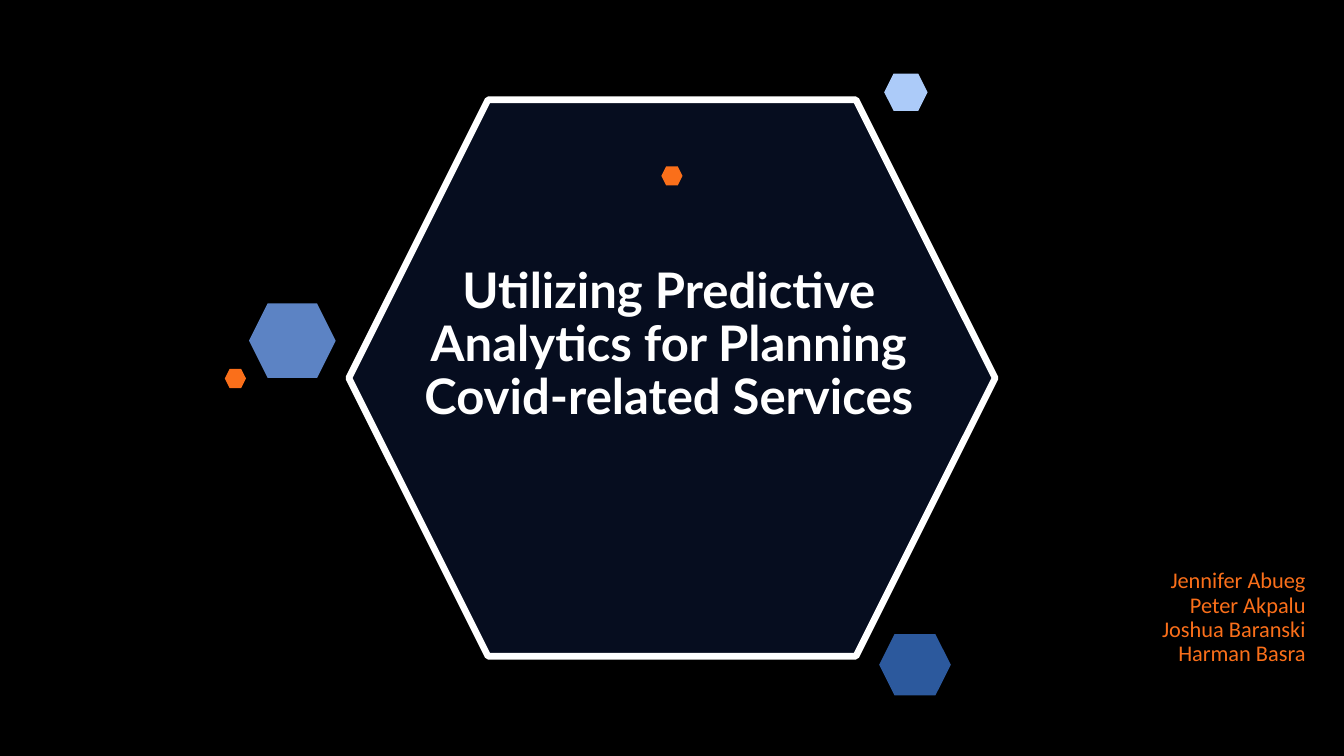
from lxml.etree import SubElement
from pptx import Presentation
from pptx.dml.color import RGBColor
from pptx.enum.shapes import MSO_SHAPE
from pptx.enum.text import MSO_ANCHOR, MSO_AUTO_SIZE, PP_ALIGN
from pptx.oxml.ns import qn
from pptx.util import Inches, Pt

ORANGE = "FA6F1A"
WHITE = "FFFFFF"


def set_color(color_format, hex_color):
    color_format.rgb = RGBColor.from_string(hex_color)


def write_text(shape, text, *, font, size, color, align, anchor, bold=False):
    frame = shape.text_frame
    frame.text = text
    frame.word_wrap = True
    frame.auto_size = MSO_AUTO_SIZE.NONE
    frame.vertical_anchor = anchor
    for paragraph in frame.paragraphs:
        paragraph.alignment = align
        paragraph.line_spacing = 0.9
        paragraph.space_before = Pt(0)
        properties = paragraph._p.get_or_add_pPr()
        properties.set("marL", "0")
        properties.set("indent", "0")
        SubElement(properties, qn("a:buNone"))
        run_font = paragraph.runs[0].font
        run_font.name = font
        run_font.size = Pt(size)
        run_font.bold = bold
        set_color(run_font.color, color)


# Slide with a black background
presentation = Presentation()
presentation.slide_width = Inches(13.33)
presentation.slide_height = Inches(7.5)
slide = presentation.slides.add_slide(presentation.slide_layouts[1])
background = slide.background.fill
background.solid()
set_color(background.fore_color, "000000")

# Hexagons: left, top, width, height, fill; the large frame comes first
hexagons = [
    (3.46, 0.99, 6.41, 5.52, "11224E"),
    (8.72, 6.29, 0.71, 0.61, "2C599D"),
    (2.47, 3.01, 0.86, 0.74, "5C83C4"),
    (8.77, 0.73, 0.43, 0.37, "ACCBF9"),
    (2.23, 3.66, 0.21, 0.19, ORANGE),
    (6.56, 1.65, 0.21, 0.19, ORANGE),
]
shapes = []
for *box, color in hexagons:
    shape = slide.shapes.add_shape(MSO_SHAPE.HEXAGON, *map(Inches, box))
    shape.shadow.inherit = False
    shape.fill.solid()
    set_color(shape.fill.fore_color, color)
    shape.line.fill.background()
    shapes.append(shape)

# White outline and 40 % opacity for the frame
frame_hexagon = shapes[0]
frame_hexagon.line.width = Pt(4.75)
frame_hexagon.line.fill.solid()
set_color(frame_hexagon.line.color, WHITE)
frame_color = frame_hexagon.element.spPr.find(qn("a:solidFill"))[0]
SubElement(frame_color, qn("a:alpha"), val="40000")

# Title and author list, brought in front of the hexagons
title = slide.shapes.title
authors = slide.placeholders[1]
for placeholder, box in (
    (title, (3.61, 2.59, 6.05, 1.88)),
    (authors, (10.88, 5.53, 2.17, 1.13)),
):
    placeholder.left, placeholder.top, placeholder.width, placeholder.height = map(Inches, box)
    placeholder.element.getparent().append(placeholder.element)

write_text(
    title, "Utilizing Predictive Analytics for Planning Covid-related Services",
    font="Lato", size=35, color=WHITE, bold=True,
    align=PP_ALIGN.CENTER, anchor=MSO_ANCHOR.TOP,
)
write_text(
    authors, "Jennifer Abueg\nPeter Akpalu\nJoshua Baranski\nHarman Basra",
    font="Calibri", size=16, color=ORANGE,
    align=PP_ALIGN.RIGHT, anchor=MSO_ANCHOR.BOTTOM,
)

presentation.save("out.pptx")
